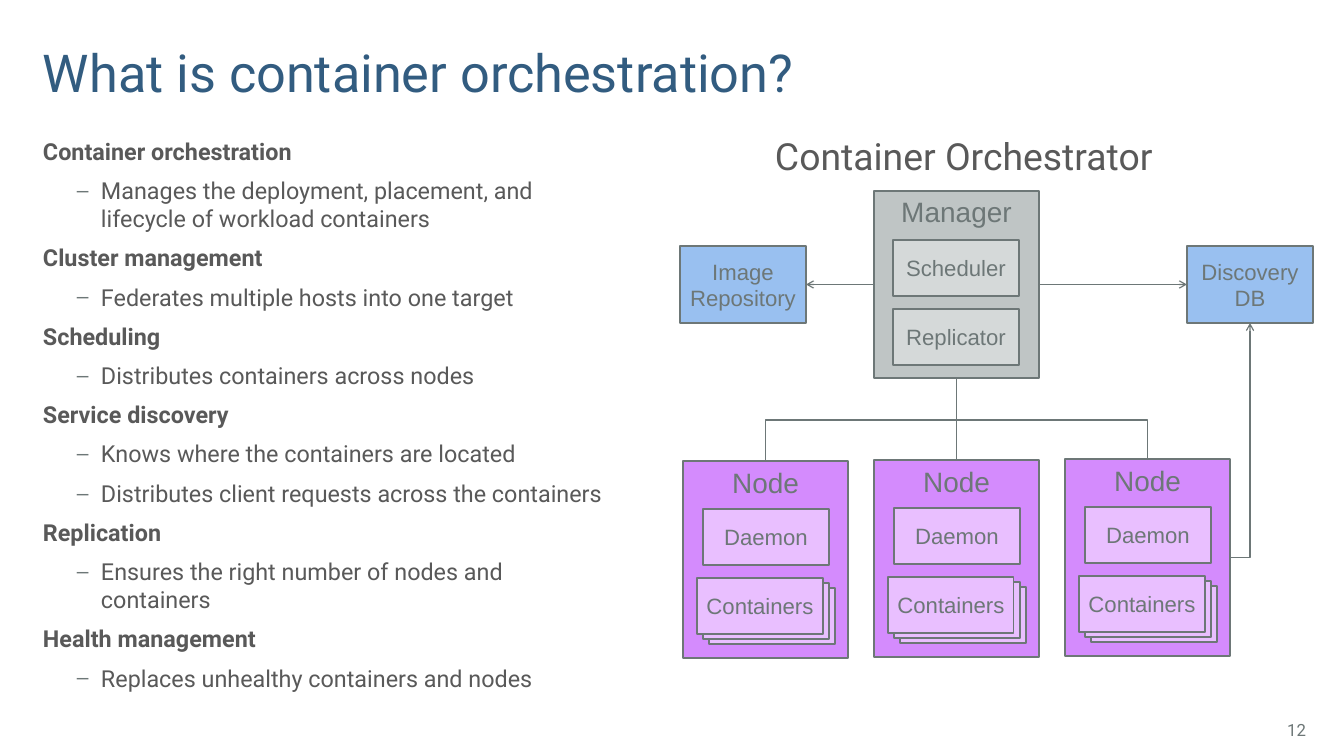
"""Build the container orchestration slide."""
from lxml import etree
from pptx import Presentation
from pptx.dml.color import RGBColor
from pptx.enum.shapes import MSO_CONNECTOR, MSO_SHAPE
from pptx.enum.text import MSO_ANCHOR, MSO_AUTO_SIZE, PP_ALIGN
from pptx.oxml.ns import qn
from pptx.util import Emu, Pt

RECT = MSO_SHAPE.RECTANGLE
STRAIGHT, ELBOW = MSO_CONNECTOR.STRAIGHT, MSO_CONNECTOR.ELBOW
TOP, MIDDLE, BOTTOM = MSO_ANCHOR.TOP, MSO_ANCHOR.MIDDLE, MSO_ANCHOR.BOTTOM
LEFT, CENTER, RIGHT = PP_ALIGN.LEFT, PP_ALIGN.CENTER, PP_ALIGN.RIGHT
NO_FIT = MSO_AUTO_SIZE.NONE
TOP_SIDE, LEFT_SIDE, BOTTOM_SIDE, RIGHT_SIDE = range(4)

GREY, TEXT, NAVY = "6D7777", "595959", "325C80"
MANAGER, MANAGER_PART = "BFC5C5", "D5D9D9"
NODE, NODE_PART, STORE = "D48BFD", "E9BFFF", "99C0F0"
PART_W, PART_H = 126, 56

TOPICS = [
    ("Container orchestration",
     ["Manages the deployment, placement, and lifecycle of workload containers"]),
    ("Cluster management", ["Federates multiple hosts into one target"]),
    ("Scheduling", ["Distributes containers across nodes"]),
    ("Service discovery",
     ["Knows where the containers are located",
      "Distributes client requests across the containers"]),
    ("Replication", ["Ensures the right number of nodes and containers"]),
    ("Health management", ["Replaces unhealthy containers and nodes"]),
]


def px(n):
    """Turn pixels into EMU."""
    return Emu(round(n * 914400 / 84))


def rgb(code):
    """Turn a hex string into a colour."""
    return RGBColor.from_string(code)


def apply(obj, values):
    """Set every attribute in values on obj."""
    for name, value in values.items():
        setattr(obj, name, value)


def place(sp, x, y, w, h):
    """Put a shape at a pixel box."""
    apply(sp, {"left": px(x), "top": px(y), "width": px(w), "height": px(h)})


def frame(sp, anchor=TOP, wrap=True, sides=(0, 8), ends=(4, 4)):
    """Format a text frame and return it."""
    tf = sp.text_frame
    apply(tf, {
        "auto_size": NO_FIT, "word_wrap": wrap, "vertical_anchor": anchor,
        "margin_left": px(sides[0]), "margin_right": px(sides[1]),
        "margin_top": px(ends[0]), "margin_bottom": px(ends[1]),
    })
    return tf


def write(p, text, size, color, font="Roboto", align=LEFT, bold=False):
    """Write one formatted run into a paragraph."""
    p.alignment = align
    r = p.add_run()
    r.text = text
    apply(r.font, {"size": Pt(size), "name": font, "bold": bold})
    r.font.color.rgb = rgb(color)


def indent(p, margin=0, hanging=0, bullet=None):
    """Set spacing, indents and bullet of a list paragraph."""
    p.space_before = Pt(9.6)
    pPr = p._p.get_or_add_pPr()
    pPr.set("marL", str(px(margin)))
    pPr.set("indent", str(-px(hanging)))
    if bullet is None:
        etree.SubElement(pPr, qn("a:buNone"))
        return
    color = etree.SubElement(pPr, qn("a:buClr"))
    etree.SubElement(color, qn("a:srgbClr")).set("val", GREY)
    etree.SubElement(pPr, qn("a:buSzPct")).set("val", "90000")
    etree.SubElement(pPr, qn("a:buChar")).set("char", bullet)


def add_topics(sp):
    """Fill the body with headings and their points."""
    place(sp, 43, 133, 569, 560)
    tf = frame(sp)
    lines = [(text, level) for head, points in TOPICS
             for text, level in [(head, 0)] + [(point, 1) for point in points]]
    for i, (text, level) in enumerate(lines):
        p = tf.add_paragraph() if i else tf.paragraphs[0]
        p.level = level
        if level:
            indent(p, 58, 24, "–")
        else:
            indent(p)
        write(p, text, 20, TEXT, bold=not level)


def add_box(s, x, y, w, h, fill, text="", size=19, anchor=MIDDLE, wrap=False, side=8):
    """Add an outlined rectangle with an optional label."""
    sp = s.shapes.add_shape(RECT, px(x), px(y), px(w), px(h))
    sp.shadow.inherit = False
    sp.fill.solid()
    sp.fill.fore_color.rgb = rgb(fill)
    sp.line.color.rgb = rgb(GREY)
    sp.line.width = Pt(1)
    if text:
        tf = frame(sp, anchor, wrap, (side, side))
        write(tf.paragraphs[0], text, size, GREY, "Arial", CENTER)
    return sp


def add_node(s, x, y):
    """Add a node with its daemon and stacked containers."""
    node = add_box(s, x, y, 165, 197, NODE, "Node", 24, TOP)
    add_box(s, x + 20, y + 48, PART_W, PART_H, NODE_PART, "Daemon")
    for depth in (2, 1, 0):
        add_box(s, x + 14 + 6 * depth, y + 117 + 5 * depth, PART_W, PART_H,
                NODE_PART, "" if depth else "Containers")
    return node


def style_line(c, arrow=False):
    """Give a connector its line, and an arrowhead if asked."""
    c.line.color.rgb = rgb(GREY)
    c.line.width = Pt(1)
    spPr = c.element.spPr
    if arrow:
        etree.SubElement(spPr.find(qn("a:ln")), qn("a:tailEnd")).set("type", "arrow")
    etree.SubElement(spPr, qn("a:effectLst"))


def join(s, start, start_side, end, end_side, arrow=False):
    """Join the sides of two boxes with a straight connector."""
    c = s.shapes.add_connector(STRAIGHT, 0, 0, 0, 0)
    c.begin_connect(start, start_side)
    c.end_connect(end, end_side)
    style_line(c, arrow)


def branch(s, start, end, bus_y):
    """Run an elbow from the bottom of start to the top of end along bus_y."""
    x1, y1 = start.left + start.width // 2, start.top + start.height
    x2, y2 = end.left + end.width // 2, end.top
    run, drop = abs(x2 - x1), y2 - y1
    left, top = (x1 + x2 - drop) // 2, (y1 + y2 - run) // 2
    c = s.shapes.add_connector(ELBOW, left, top, left + drop, top + run)
    spPr = c.element.spPr
    xfrm = spPr.find(qn("a:xfrm"))
    xfrm.set("rot", str((270 if x2 > x1 else 90) * 60000))
    if x2 > x1:
        xfrm.set("flipH", "1")
    guide = etree.SubElement(spPr.find(qn("a:prstGeom")).find(qn("a:avLst")), qn("a:gd"))
    guide.set("name", "adj1")
    guide.set("fmla", f"val {round((px(bus_y) - y1) / drop * 100000)}")
    style_line(c)


def corner(s, start, end):
    """Run a one-bend arrow from the right of start to the bottom of end."""
    c = s.shapes.add_connector(
        ELBOW, start.left + start.width, start.top + start.height // 2,
        end.left + end.width // 2, end.top + end.height)
    c.element.spPr.find(qn("a:prstGeom")).set("prst", "bentConnector2")
    style_line(c, True)


def add_diagram(s):
    """Draw the manager, nodes, stores and their links."""
    manager = add_box(s, 874, 191, 165, 187, MANAGER, "Manager", 24, TOP)
    for i, text in enumerate(["Scheduler", "Replicator"]):
        add_box(s, 893, 240 + 69 * i, PART_W, PART_H, MANAGER_PART, text)
    nodes = [add_node(s, 683 + 191 * i, 461 - i) for i in range(3)]
    discovery = add_box(s, 1187, 246, PART_W, 77, STORE, "Discovery DB", wrap=True)
    images = add_box(s, 680, 246, PART_W, 77, STORE, "Image Repository",
                     wrap=True, side=0)
    for node in (nodes[2], nodes[0]):
        branch(s, manager, node, 420)
    join(s, manager, BOTTOM_SIDE, nodes[1], TOP_SIDE)
    corner(s, nodes[2], discovery)
    join(s, manager, RIGHT_SIDE, discovery, LEFT_SIDE, True)
    join(s, manager, LEFT_SIDE, images, RIGHT_SIDE, True)


def main():
    """Build and save the slide."""
    prs = Presentation()
    prs.slide_width, prs.slide_height = px(1344), px(756)
    s = prs.slides.add_slide(prs.slide_layouts[3])
    title, body, heading = s.placeholders

    place(title, 43, 7, 1200, 96)
    p = frame(title, BOTTOM, ends=(4, 0)).paragraphs[0]
    p.line_spacing = 0.85
    write(p, "What is container orchestration?", 44.8, NAVY)

    add_topics(body)

    place(heading, 716, 129, 504, 50)
    p = frame(heading).paragraphs[0]
    indent(p)
    write(p, "Container Orchestrator", 32, TEXT, align=CENTER)

    number = s.shapes.add_textbox(px(1255), px(710), px(59), px(40))
    p = frame(number, MIDDLE, sides=(8, 8)).paragraphs[0]
    write(p, "12", 14.4, GREY, align=RIGHT)

    add_diagram(s)
    prs.save("out.pptx")


if __name__ == "__main__":
    main()
